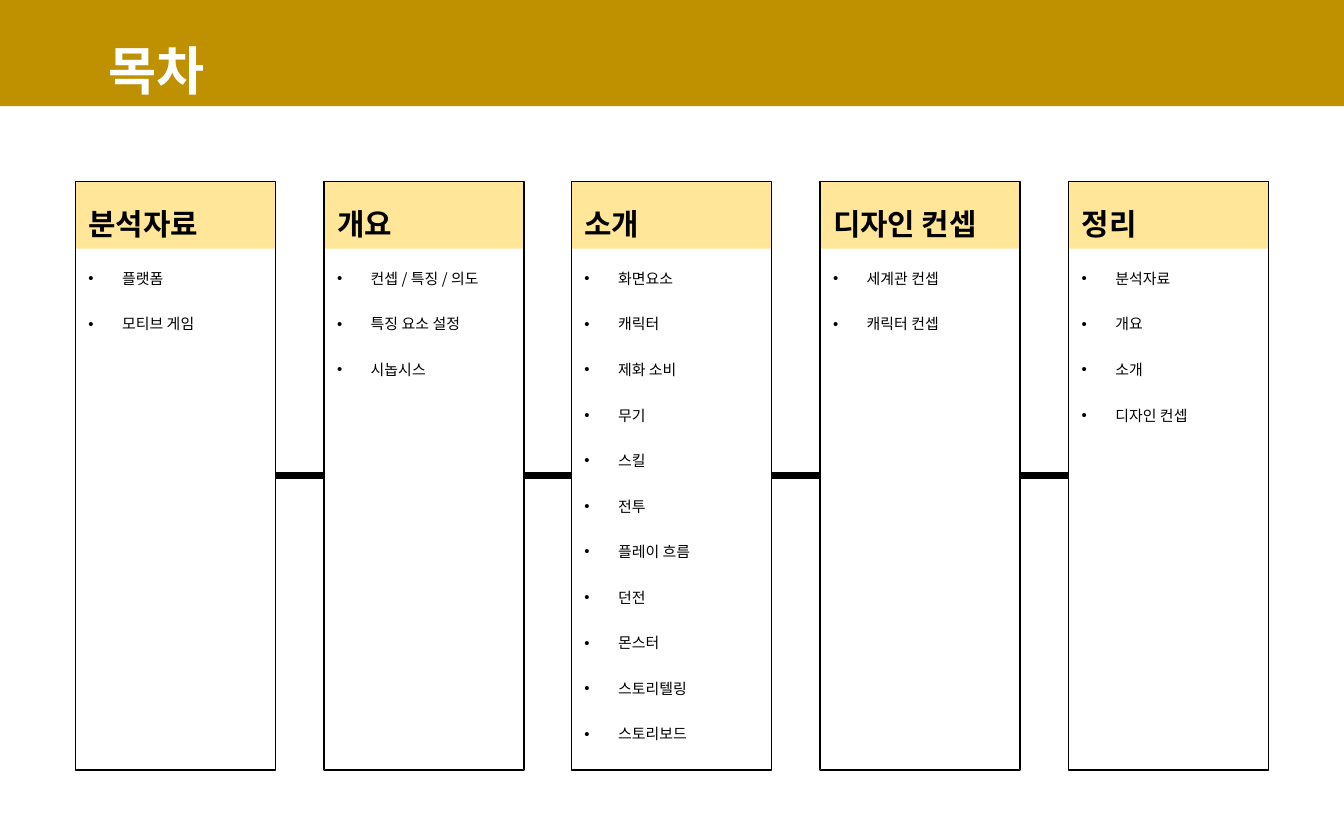
from lxml import etree
from pptx import Presentation
from pptx.dml.color import RGBColor
from pptx.enum.shapes import MSO_CONNECTOR, MSO_SHAPE
from pptx.enum.text import MSO_ANCHOR, PP_ALIGN
from pptx.oxml.ns import qn
from pptx.util import Inches, Pt

RECT = MSO_SHAPE.RECTANGLE
LINE = MSO_CONNECTOR.STRAIGHT
TOP = MSO_ANCHOR.TOP
MIDDLE = MSO_ANCHOR.MIDDLE
LEFT = PP_ALIGN.LEFT
FONT = "Noto Sans CJK KR"
COLUMNS = [
    (0.56, "분석자료", ["플랫폼", "모티브 게임"]),
    (2.41, "개요", ["컨셉 / 특징 / 의도", "특징 요소 설정", "시놉시스"]),
    (4.25, "소개", ["화면요소", "캐릭터", "제화 소비", "무기", "스킬", "전투",
                  "플레이 흐름", "던전", "몬스터", "스토리텔링", "스토리보드"]),
    (6.1, "디자인 컨셉", ["세계관 컨셉", "캐릭터 컨셉"]),
    (7.95, "정리", ["분석자료", "개요", "소개", "디자인 컨셉"]),
]


def color(code):
    return RGBColor.from_string(code)


def style(para, size, code, bold):
    para.alignment = LEFT
    para.line_spacing = Pt(size * 1.8)
    for run in para.runs:
        run.font.size = Pt(size)
        run.font.bold = bold
        run.font.color.rgb = color(code)
        run.font.name = FONT
        etree.SubElement(run.font._element, qn("a:ea"), typeface=FONT)


prs = Presentation()
prs.slide_width = Inches(10)
prs.slide_height = Inches(6.25)
slide = prs.slides.add_slide(prs.slide_layouts[6])
shapes = slide.shapes

bands = [(left, 1.35, 1.49, 0.5, "FFE699") for left, head, items in COLUMNS]
for left, top, width, height, code in bands + [(0, 0, 10, 0.79, "BF9000")]:
    band = shapes.add_shape(RECT, Inches(left), Inches(top), Inches(width), Inches(height))
    band.shadow.inherit = False
    band.fill.solid()
    band.fill.fore_color.rgb = color(code)
    band.line.fill.background()

title = shapes.add_textbox(Inches(0.71), Inches(0.1), Inches(1.2), Inches(0.6))
frame = title.text_frame
frame.word_wrap = True
frame.vertical_anchor = MIDDLE
frame.text = "목차"
style(frame.paragraphs[0], 28, "FFFFFF", True)

boxes = []
for left, head, items in COLUMNS:
    box = shapes.add_shape(RECT, Inches(left), Inches(1.35), Inches(1.49), Inches(4.38))
    box.shadow.inherit = False
    box.fill.background()
    box.line.color.rgb = color("000000")
    box.line.width = Pt(0.75)
    frame = box.text_frame
    frame.word_wrap = True
    frame.vertical_anchor = TOP
    frame.text = head
    style(frame.paragraphs[0], 16, "000000", True)
    for item in items:
        para = frame.add_paragraph()
        para.text = item
        props = para._p.get_or_add_pPr()
        props.set("marL", str(Inches(0.25)))
        props.set("indent", str(-Inches(0.25)))
        etree.SubElement(props, qn("a:buFont"), typeface="Arial")
        etree.SubElement(props, qn("a:buChar"), char="•")
        para.space_before = Pt(10)
        style(para, 8, "000000", False)
    boxes.append(box)

for start, end in zip(boxes, boxes[1:]):
    link = shapes.add_connector(LINE, 0, 0, 0, 0)
    link.begin_connect(start, 3)
    link.end_connect(end, 1)
    link.line.color.rgb = color("000000")
    link.line.width = Pt(4)
    etree.SubElement(link._element.spPr, qn("a:effectLst"))

prs.save("out.pptx")
